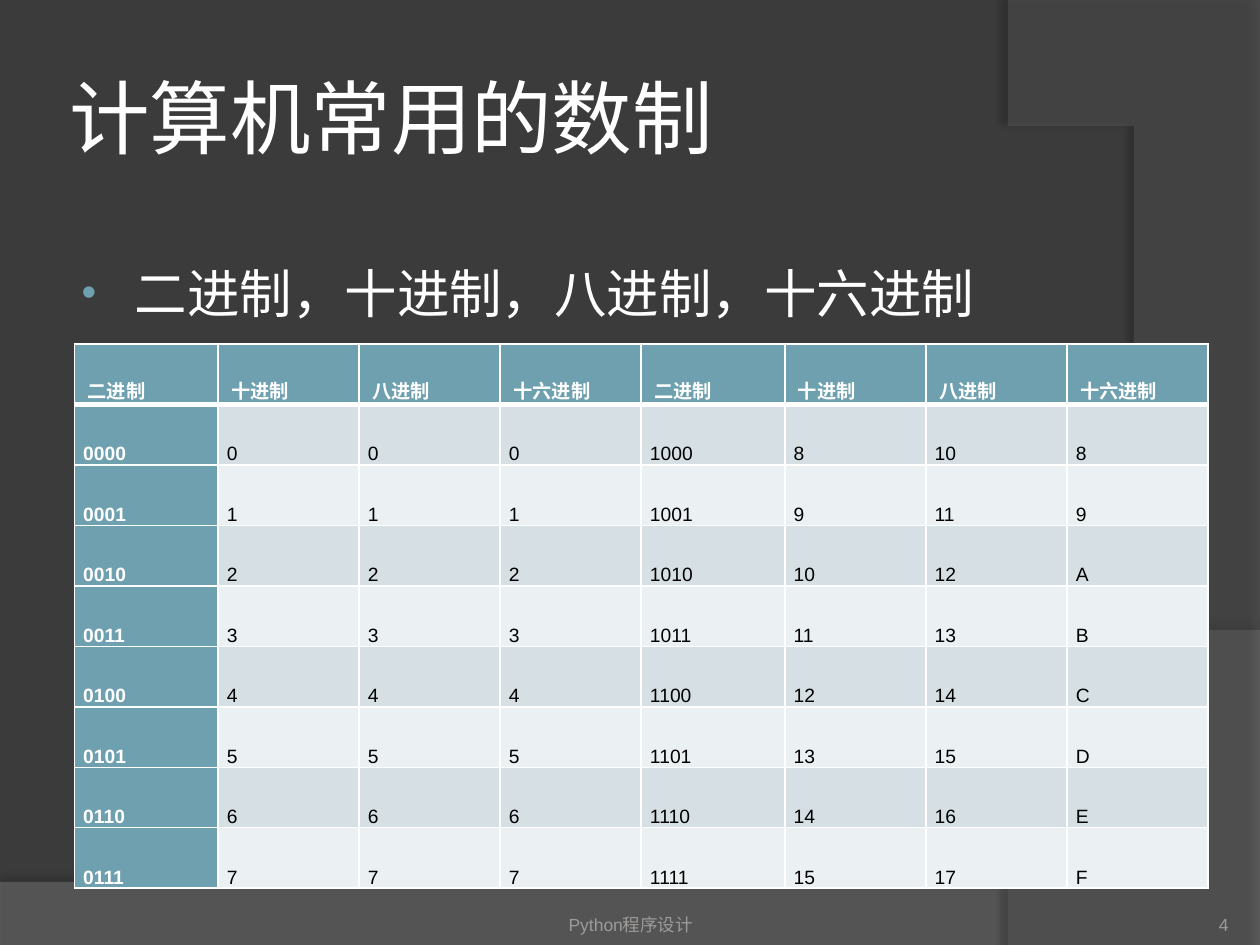
"""Build a slide listing the number systems used in computers."""
import pptx
import pptx.util
import pptx.dml.color
import pptx.enum.text
import pptx.oxml
import pptx.oxml.ns

Inches, Pt = pptx.util.Inches, pptx.util.Pt
ALIGN, ANCHOR = pptx.enum.text.PP_ALIGN, pptx.enum.text.MSO_ANCHOR
NS = pptx.oxml.ns.nsdecls("a")

TITLE = "计算机常用的数制"
POINT = "二进制，十进制，八进制，十六进制"
FOOTER = "Python程序设计"
NUMBER = "4"
HEADS = [" 二进制", " 十进制", " 八进制", " 十六进制"] * 2
FORMS = ["04b", "d", "o", "X"]
HALF = 8
COLS = [1.14, 1.12, 1.12, 1.12] * 2
ROW = 0.48
COLORS = {
    "back": "3B3B3B", "wave": "7F7F7F", "arc": "5E5E5E", "white": "FFFFFF",
    "black": "000000", "teal": "6EA0B0", "dark": "D5DFE4", "light": "EBF0F2",
    "gray": "9D9B9A",
}
SWEEPS = [
    {"start": [(0, 7.51), (10, 7.51)],
     "curve": [(10, 5.2), (5.59, 7.29), (3.91, 7.19), (0, 7.05)],
     "color": "wave", "alpha": 45, "shade": 35, "dist": 3.5, "angle": 270},
    {"start": [(10, 0.02), (10, 7.5)],
     "curve": [(8.21, 7.5), (9.35, 6.19), (10.18, 3), (8, 0)],
     "color": "arc", "alpha": 40, "shade": 45, "dist": 4, "angle": 180},
]


def rgb(name):
    return pptx.dml.color.RGBColor.from_string(COLORS[name])


def paint(fill, name):
    fill.solid()
    fill.fore_color.rgb = rgb(name)


def bezier(curve, steps=40):
    for step in range(steps + 1):
        t = step / steps
        weights = ((1 - t) ** 3, 3 * t * (1 - t) ** 2, 3 * t * t * (1 - t), t ** 3)
        yield tuple(sum(w * p[axis] for w, p in zip(weights, curve)) for axis in (0, 1))


def add_sweep(slide, sweep):
    first, *rest = sweep["start"] + list(bezier(sweep["curve"]))
    pen = slide.shapes.build_freeform(*first, scale=Inches(1))
    pen.add_line_segments(rest, close=True)
    shape = pen.convert_to_shape()
    paint(shape.fill, sweep["color"])
    shape.line.fill.background()
    shape.shadow.inherit = False
    props = shape.element.spPr
    tone = props.find(".//" + pptx.oxml.ns.qn("a:srgbClr"))
    tone.append(pptx.oxml.parse_xml(f'<a:alpha {NS} val="{sweep["alpha"] * 1000}"/>'))
    props.find(pptx.oxml.ns.qn("a:effectLst")).append(pptx.oxml.parse_xml(
        f'<a:outerShdw {NS} blurRad="{Pt(4)}" dist="{Pt(sweep["dist"])}" '
        f'dir="{sweep["angle"] * 60000}" algn="ctr" rotWithShape="0">'
        f'<a:srgbClr val="{COLORS["black"]}"><a:alpha val="{sweep["shade"] * 1000}"/>'
        '</a:srgbClr></a:outerShdw>'))


def style(para, size, color, face="Arial", bold=False):
    para.font.size, para.font.name, para.font.bold = Pt(size), face, bold
    para.font.color.rgb = rgb(color)


def set_pads(part, pads):
    (part.margin_left, part.margin_top,
     part.margin_right, part.margin_bottom) = map(Inches, pads)


def add_text(slide, text, box, pads, anchor, align, size, color, face="Arial"):
    frame = slide.shapes.add_textbox(*map(Inches, box)).text_frame
    frame.word_wrap = True
    frame.vertical_anchor = anchor
    set_pads(frame, pads)
    para = frame.paragraphs[0]
    para.text, para.alignment = text, align
    style(para, size, color, face)
    return para


def add_bullet(para):
    para.space_before = Pt(6)
    props = para._p.get_or_add_pPr()
    props.set("marL", str(Inches(0.46)))
    props.set("indent", str(Inches(-0.42)))
    for xml in (f'<a:buClr {NS}><a:srgbClr val="{COLORS["teal"]}"/></a:buClr>',
                f'<a:buSzPct {NS} val="80000"/>',
                f'<a:buFont {NS} typeface="Arial"/>',
                f'<a:buChar {NS} char="•"/>'):
        node = pptx.oxml.parse_xml(xml)
        last = props.find(pptx.oxml.ns.qn("a:defRPr"))
        if last is None:
            props.append(node)
        else:
            last.addprevious(node)


def add_edges(cell, widths):
    props = cell._tc.get_or_add_tcPr()
    for spot, (side, width) in enumerate(zip("LRTB", widths)):
        props.insert(spot, pptx.oxml.parse_xml(
            f'<a:ln{side} {NS} w="{Pt(width)}"><a:solidFill>'
            f'<a:srgbClr val="{COLORS["white"]}"/></a:solidFill></a:ln{side}>'))


def add_grid(slide):
    rows = [HEADS] + [[format(n + half, form) for half in (0, HALF) for form in FORMS]
                      for n in range(HALF)]
    table = slide.shapes.add_table(
        len(rows), len(COLS), Inches(0.59), Inches(2.73),
        Inches(sum(COLS)), Inches(ROW * len(rows))).table
    for col, width in zip(table.columns, COLS):
        col.width = Inches(width)
    for r, row in enumerate(rows):
        table.rows[r].height = Inches(ROW)
        for c, text in enumerate(row):
            cell = table.cell(r, c)
            head = r == 0 or c == 0
            paint(cell.fill, "teal" if head else "dark" if r % 2 else "light")
            add_edges(cell, (1, 1, 3 if r == 1 else 1, 3 if r == 0 else 1))
            set_pads(cell, (0.07, 0, 0.07, 0))
            cell.vertical_anchor = ANCHOR.BOTTOM
            para = cell.text_frame.paragraphs[0]
            para.text = text
            para.line_spacing, para.space_after = 1.07, Pt(8)
            style(para, 11, "white" if head else "black", bold=head)


def main():
    deck = pptx.Presentation()
    deck.slide_width, deck.slide_height = Inches(10), Inches(7.5)
    slide = deck.slides.add_slide(deck.slide_layouts[6])
    paint(slide.background.fill, "back")
    for sweep in SWEEPS:
        add_sweep(slide, sweep)
    add_text(slide, TITLE, (0.5, 0.3, 8.17, 1.25), (0.05,) * 4,
             ANCHOR.MIDDLE, ALIGN.LEFT, 46, "white", "Karla")
    add_bullet(add_text(slide, POINT, (0.51, 2.02, 9.21, 5.07), (0.1, 0.05, 0.1, 0.05),
                        ANCHOR.TOP, ALIGN.LEFT, 30, "white"))
    add_text(slide, FOOTER, (3.42, 7.02, 3.17, 0.4), (0, 0.05, 0, 0),
             ANCHOR.BOTTOM, ALIGN.CENTER, 10, "gray")
    add_text(slide, NUMBER, (8.92, 7.02, 0.83, 0.4), (0,) * 4,
             ANCHOR.BOTTOM, ALIGN.RIGHT, 10, "gray")
    add_grid(slide)
    deck.save("out.pptx")


main()
